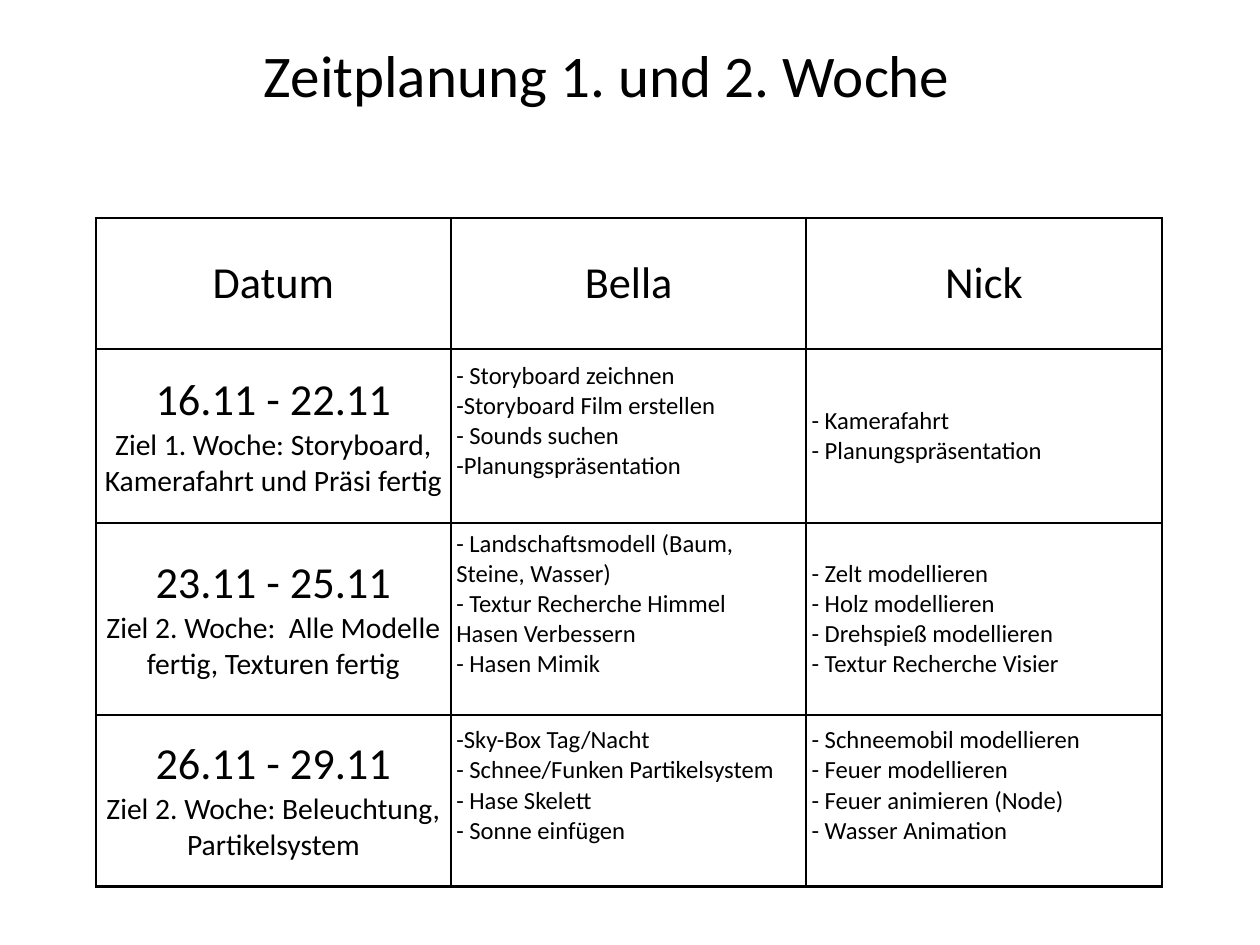
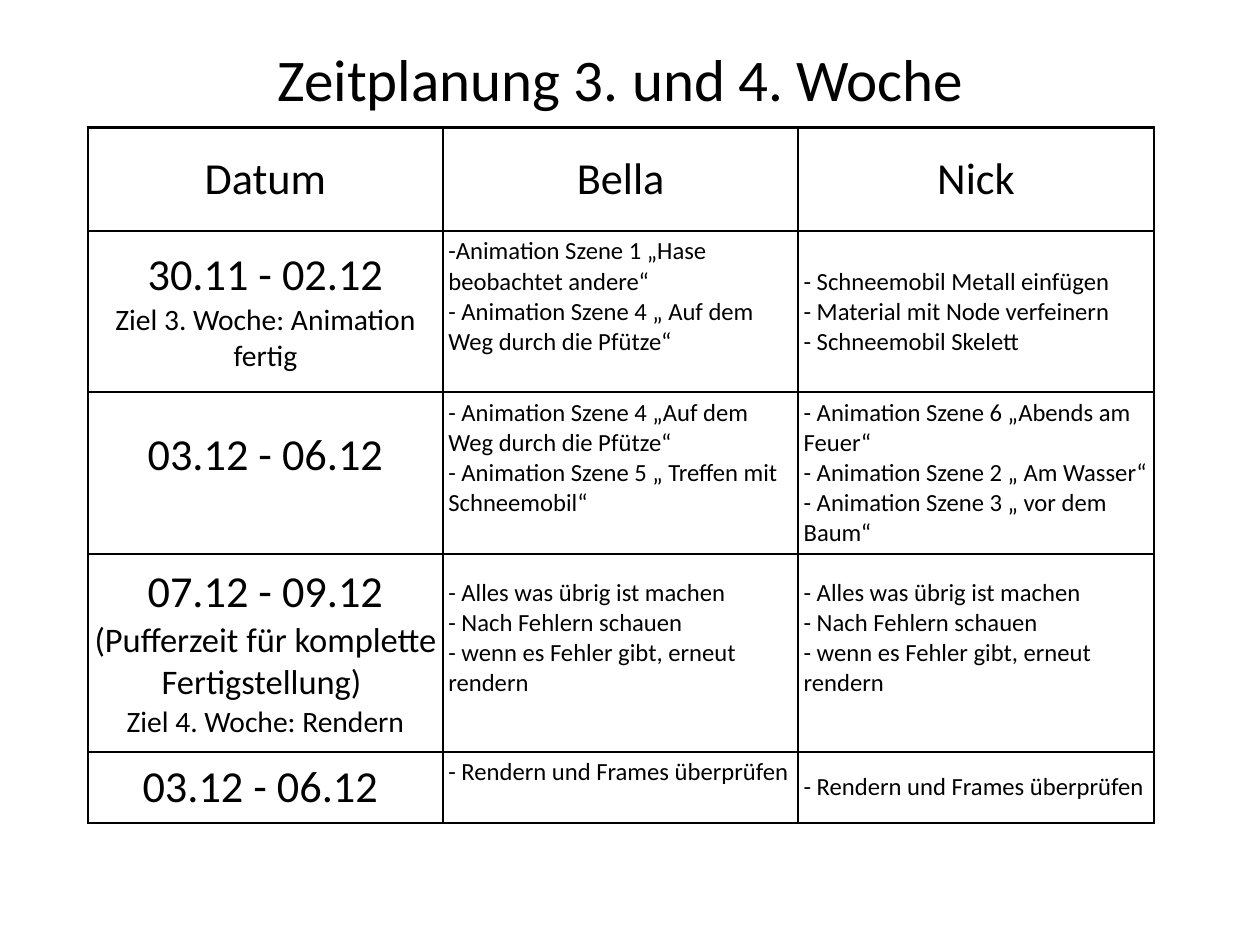
from dataclasses import dataclass

from lxml import etree
from pptx import Presentation
from pptx.dml.color import RGBColor
from pptx.enum.text import MSO_ANCHOR, PP_ALIGN
from pptx.oxml.ns import qn
from pptx.util import Inches, Pt

CENTER, LEFT = PP_ALIGN.CENTER, PP_ALIGN.LEFT
MIDDLE = MSO_ANCHOR.MIDDLE
TITLE_ONLY = 5
COLORS = {"text": "000000", "border": "000000"}
FONT = "Calibri"
TITLE_SIZE, HEAD_SIZE, BUFFER_SIZE, GOAL_SIZE, TASK_SIZE = 48, 36, 28, 24, 20
INSET = 0.06
INSETS = {"margin_" + side: Inches(INSET) for side in ("left", "right", "top", "bottom")}
COL_WIDTH = 4.01
BORDER_WIDTH = 2
TASK_LIFT, DATE_LIFT = 0.34, 0.4


@dataclass
class Entry:
    """Cell content: paragraphs of (text, size) runs; lift is extra room below."""
    paragraphs: list
    align: int = CENTER
    lift: float = 0


def heading(text):
    return Entry([[(text, HEAD_SIZE)]])


def period(dates, goal="", buffer="", lift=0):
    first = [(dates, HEAD_SIZE)] + ([(buffer, BUFFER_SIZE)] if buffer else [])
    return Entry([first] + ([[(goal, GOAL_SIZE)]] if goal else []), lift=lift)


def tasks(*lines, lift=0):
    return Entry([[(line, TASK_SIZE)] for line in lines], LEFT, lift)


def set_attrs(obj, values):
    for name, value in values.items():
        setattr(obj, name, value)


def add_run(p, text, size):
    r = p.add_run()
    r.text = text
    set_attrs(r.font, {"name": FONT, "size": Pt(size), "bold": False})
    r.font.color.rgb = RGBColor.from_string(COLORS["text"])


def add_title(slide, text, box):
    sp = slide.shapes.title
    set_attrs(sp, dict(zip(("left", "top", "width", "height"), map(Inches, box))))
    tf = sp.text_frame
    set_attrs(tf, {"word_wrap": True, "vertical_anchor": MIDDLE, **INSETS})
    p = tf.paragraphs[0]
    p.alignment = CENTER
    add_run(p, text, TITLE_SIZE)


def set_borders(cell):
    tc_pr = cell._tc.get_or_add_tcPr()
    for i, side in enumerate(("lnL", "lnR", "lnT", "lnB")):
        ln = etree.Element(qn("a:" + side), w=str(Pt(BORDER_WIDTH)))
        fill = etree.SubElement(ln, qn("a:solidFill"))
        etree.SubElement(fill, qn("a:srgbClr"), val=COLORS["border"])
        tc_pr.insert(i, ln)


def fill_cell(cell, entry):
    set_attrs(cell, {"vertical_anchor": MIDDLE, **INSETS})
    cell.margin_bottom = Inches(INSET + entry.lift)
    cell.fill.background()
    set_borders(cell)
    tf = cell.text_frame
    for i, runs in enumerate(entry.paragraphs):
        p = tf.add_paragraph() if i else tf.paragraphs[0]
        p.alignment = entry.align
        for text, size in runs:
            add_run(p, text, size)


def add_schedule(slide, left, top, heights, rows):
    rows = [[heading(name) for name in ("Datum", "Bella", "Nick")]] + rows
    cols = len(rows[0])
    table = slide.shapes.add_table(
        len(rows), cols, Inches(left), Inches(top),
        Inches(cols * COL_WIDTH), Inches(sum(heights))).table
    set_attrs(table, {"first_row": False, "horz_banding": False})
    for column in table.columns:
        column.width = Inches(COL_WIDTH)
    for r, (height, entries) in enumerate(zip(heights, rows)):
        table.rows[r].height = Inches(height)
        for c, entry in enumerate(entries):
            fill_cell(table.cell(r, c), entry)


def add_plan_slide(prs, title, title_box, table_pos, heights, rows):
    slide = prs.slides.add_slide(prs.slide_layouts[TITLE_ONLY])
    add_title(slide, title, title_box)
    add_schedule(slide, *table_pos, heights, rows)


WEEKS_1_2 = [
    [period("16.11 - 22.11", "Ziel 1. Woche: Storyboard, Kamerafahrt und Präsi fertig"),
     tasks("- Storyboard zeichnen", "-Storyboard Film erstellen", "- Sounds suchen",
           "-Planungspräsentation", lift=TASK_LIFT),
     tasks("- Kamerafahrt", "- Planungspräsentation")],
    [period("23.11 - 25.11", "Ziel 2. Woche:  Alle Modelle fertig, Texturen fertig"),
     tasks("- Landschaftsmodell (Baum, Steine, Wasser)", "- Textur Recherche Himmel",
           "Hasen Verbessern", "- Hasen Mimik", lift=TASK_LIFT),
     tasks("- Zelt modellieren", "- Holz modellieren", "- Drehspieß modellieren",
           "- Textur Recherche Visier")],
    [period("26.11 - 29.11", "Ziel 2. Woche: Beleuchtung, Partikelsystem"),
     tasks("-Sky-Box Tag/Nacht", "- Schnee/Funken Partikelsystem", "- Hase Skelett",
           "- Sonne einfügen", lift=TASK_LIFT),
     tasks("- Schneemobil modellieren", "- Feuer modellieren",
           "- Feuer animieren (Node)", "- Wasser Animation", lift=TASK_LIFT)],
]

REMAINING = tasks("- Alles was übrig ist machen", "- Nach Fehlern schauen",
                  "- wenn es Fehler gibt, erneut rendern", lift=TASK_LIFT)
RENDERING = "- Rendern und Frames überprüfen"
WEEKS_3_4 = [
    [period("30.11 - 02.12", "Ziel 3. Woche: Animation fertig"),
     tasks("-Animation Szene 1 „Hase beobachtet andere“",
           "- Animation Szene 4 „ Auf dem Weg durch die Pfütze“", lift=TASK_LIFT),
     tasks("- Schneemobil Metall einfügen", "- Material mit Node verfeinern",
           "- Schneemobil Skelett")],
    [period("03.12 - 06.12", lift=DATE_LIFT),
     tasks("- Animation Szene 4 „Auf dem Weg durch die Pfütze“",
           "- Animation Szene 5 „ Treffen mit Schneemobil“", lift=TASK_LIFT),
     tasks("- Animation Szene 6 „Abends am Feuer“", "- Animation Szene 2 „ Am Wasser“",
           "- Animation Szene 3 „ vor dem Baum“")],
    [period("07.12 - 09.12 ", "Ziel 4. Woche: Rendern",
            buffer="(Pufferzeit für komplette Fertigstellung) "),
     REMAINING, REMAINING],
    [period("03.12 - 06.12 "), tasks(RENDERING, lift=TASK_LIFT), tasks(RENDERING)],
]


def main():
    prs = Presentation()
    set_attrs(prs, {"slide_width": Inches(14.22), "slide_height": Inches(10.67)})
    add_plan_slide(prs, "Zeitplanung 1. und 2. Woche", (1.39, 0.28, 10.92, 1.12),
                   (1.08, 2.46), (1.48, 1.97, 2.16, 1.94), WEEKS_1_2)
    add_plan_slide(prs, "Zeitplanung 3. und 4. Woche", (1.39, 0.28, 11.23, 1.2),
                   (0.99, 1.44), (1.17, 1.81, 1.82, 2.24, 0.79), WEEKS_3_4)
    prs.save("out.pptx")


if __name__ == "__main__":
    main()
